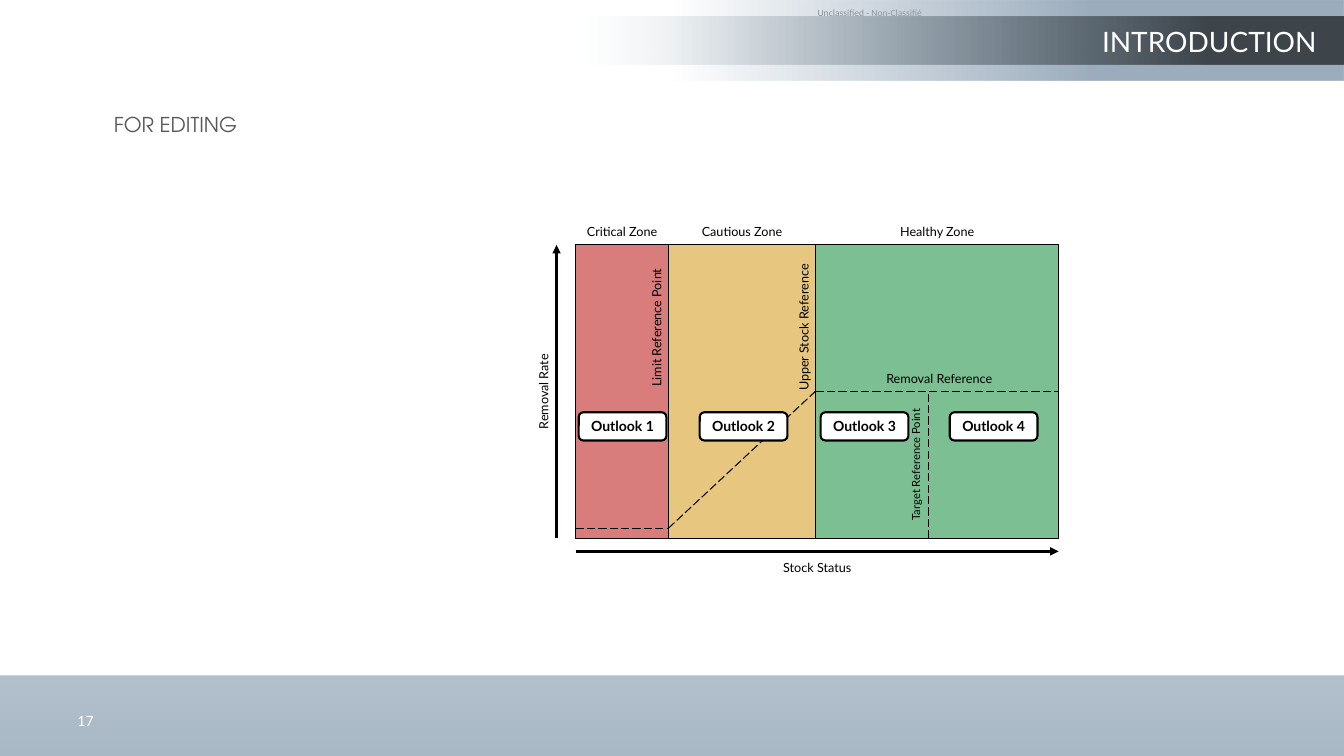
from dataclasses import dataclass

from lxml import etree
from pptx import Presentation
from pptx.dml.color import RGBColor
from pptx.enum.dml import MSO_LINE
from pptx.enum.shapes import MSO_CONNECTOR, MSO_SHAPE
from pptx.enum.text import MSO_ANCHOR, PP_ALIGN
from pptx.oxml.ns import qn
from pptx.util import Inches, Pt

RECTANGLE, ROUNDED = MSO_SHAPE.RECTANGLE, MSO_SHAPE.ROUNDED_RECTANGLE
STRAIGHT, LONG_DASH = MSO_CONNECTOR.STRAIGHT, MSO_LINE.LONG_DASH
LEFT, CENTER, RIGHT = PP_ALIGN.LEFT, PP_ALIGN.CENTER, PP_ALIGN.RIGHT
TOP, MIDDLE = MSO_ANCHOR.TOP, MSO_ANCHOR.MIDDLE


@dataclass(frozen=True)
class Theme:
    font: str = "Lato"
    heading_font: str = "TeX Gyre Adventor"
    marking_font: str = "Calibri"
    black: str = "000000"
    white: str = "FFFFFF"
    heading: str = "595959"
    marking: str = "808080"
    footer: str = "94A7B8"
    band: str = "9CADBE"
    bar_start: str = "97ADBB"
    bar_end: str = "3E454B"
    critical: str = "D87C7C"
    cautious: str = "E7C77F"
    healthy: str = "7CBF93"
    title_size: float = 20
    heading_size: float = 14.6
    badge_size: float = 10
    label_size: float = 9
    small_size: float = 8
    marking_size: float = 6.8
    thin: float = 0.75
    medium: float = 1.5
    thick: float = 2


class SlideBuilder:
    def __init__(self, slide, theme):
        self.slide = slide
        self.shapes = slide.shapes
        self.theme = theme

    def set_text(self, shape, text, size, color=None, font=None, bold=False,
                 align=CENTER, anchor=TOP, inset=None):
        frame = shape.text_frame
        frame.word_wrap = True
        frame.vertical_anchor = anchor
        if inset is not None:
            frame.margin_left = frame.margin_right = Inches(inset)
            frame.margin_top = frame.margin_bottom = Inches(inset)
        para = frame.paragraphs[0]
        para.alignment = align
        para.space_before = Pt(0)
        span = para.add_run()
        span.text = text
        span.font.size = Pt(size)
        span.font.name = font or self.theme.font
        span.font.bold = bold
        span.font.color.rgb = RGBColor.from_string(color or self.theme.black)

    def text(self, left, top, width, height, text, size, **style):
        box = self.shapes.add_textbox(
            Inches(left), Inches(top), Inches(width), Inches(height))
        self.set_text(box, text, size, **style)
        return box

    def upright(self, center_x, center_y, length, text, size):
        """Add a label that reads from bottom to top around its centre."""
        height = 0.25
        box = self.text(center_x - length / 2, center_y - height / 2,
                        length, height, text, size)
        box.rotation = 270

    def block(self, left, top, width, height, fill, line_width=None, kind=RECTANGLE):
        shape = self.shapes.add_shape(
            kind, Inches(left), Inches(top), Inches(width), Inches(height))
        shape.shadow.inherit = False
        shape.fill.solid()
        shape.fill.fore_color.rgb = RGBColor.from_string(fill)
        if line_width:
            shape.line.width = Pt(line_width)
            shape.line.color.rgb = RGBColor.from_string(self.theme.black)
        else:
            shape.line.fill.background()
        return shape

    def gradient(self, left, top, width, height, stops, angle=0):
        """Add a block whose stops are (position %, colour, opacity %)."""
        shape = self.block(left, top, width, height, self.theme.white)
        solid = shape.element.spPr.find(qn("a:solidFill"))
        fill = etree.Element(qn("a:gradFill"), rotWithShape="1")
        stop_list = etree.SubElement(fill, qn("a:gsLst"))
        for position, color, opacity in stops:
            stop = etree.SubElement(stop_list, qn("a:gs"), pos=str(position * 1000))
            tint = etree.SubElement(stop, qn("a:srgbClr"), val=color)
            etree.SubElement(tint, qn("a:alpha"), val=str(opacity * 1000))
        etree.SubElement(fill, qn("a:lin"), ang=str(angle * 60000), scaled="0")
        shape.element.spPr.replace(solid, fill)

    def line(self, start, end, width, dash=None, arrow=False):
        connector = self.shapes.add_connector(
            STRAIGHT, *(Inches(value) for value in (*start, *end)))
        connector.line.width = Pt(width)
        connector.line.color.rgb = RGBColor.from_string(self.theme.black)
        if dash:
            connector.line.dash_style = dash
        properties = connector.element.spPr
        if arrow:
            etree.SubElement(properties.find(qn("a:ln")), qn("a:tailEnd"), type="triangle")
        etree.SubElement(properties, qn("a:effectLst"))

    def placeholder(self, index, left, top, width, height, text, size, **style):
        """Fill a template placeholder and bring it in front of the bands."""
        box = self.slide.placeholders[index]
        box.left, box.top = Inches(left), Inches(top)
        box.width, box.height = Inches(width), Inches(height)
        self.shapes.element.append(box.element)
        properties = box.text_frame.paragraphs[0]._p.get_or_add_pPr()
        properties.set("marL", "0")
        properties.set("indent", "0")
        etree.SubElement(properties, qn("a:buNone"))
        self.set_text(box, text, size, **style)


def add_frame(builder):
    theme = builder.theme
    builder.text(8.11, 0.07, 1.86, 0.11, "Unclassified - Non-Classifié",
                 theme.marking_size, color=theme.marking,
                 font=theme.marking_font, align=LEFT, inset=0)
    builder.gradient(0, 0.92, 13.33, 6.58,
                     [(0, theme.footer, 0), (100, theme.footer, 80)], angle=90)
    builder.block(0, 0.8, 13.33, 5.9, theme.white)
    builder.gradient(6.67, 0.01, 6.66, 0.79,
                     [(0, theme.band, 0), (63, theme.band, 100), (100, theme.band, 100)])
    builder.gradient(3.68, 0.16, 9.65, 0.48,
                     [(22, theme.bar_start, 0), (86, theme.bar_end, 100),
                      (100, theme.bar_end, 100)])
    builder.text(0.67, 7.06, 1.43, 0.18, "17", theme.badge_size,
                 color=theme.white, align=LEFT, anchor=MIDDLE)
    builder.placeholder(1, 1.03, 1.06, 4.03, 0.68, "FOR EDITING", theme.heading_size,
                        color=theme.heading, font=theme.heading_font, align=LEFT)
    builder.placeholder(0, 9.11, 0.19, 4.05, 0.38, "INTRODUCTION", theme.title_size,
                        color=theme.white, align=RIGHT)


def add_stock_diagram(builder):
    theme = builder.theme
    left, limit, upper, right = edges = (5.71, 6.63, 8.09, 10.5)
    top, bottom = 2.43, 5.34
    low_rate, high_rate, target = 5.24, 3.88, 9.21
    label_height, gap = 0.25, 0.12

    zones = [("Critical Zone", theme.critical), ("Cautious Zone", theme.cautious),
             ("Healthy Zone", theme.healthy)]
    for (name, color), start, end in zip(zones, edges, edges[1:]):
        builder.block(start, top, end - start, bottom - top, color, theme.thin)
        builder.text(start, top - 0.26, end - start, label_height, name, theme.label_size)

    for start, end in [((left, low_rate), (limit, low_rate)),
                       ((limit, low_rate), (upper, high_rate)),
                       ((upper, high_rate), (right, high_rate)),
                       ((target, bottom), (target, high_rate))]:
        builder.line(start, end, theme.thin, dash=LONG_DASH)

    builder.line((left, 5.47), (right, 5.47), theme.thick, arrow=True)
    builder.line((5.52, bottom), (5.52, top), theme.thick, arrow=True)
    builder.text(left, 5.51, right - left, label_height, "Stock Status", theme.label_size)
    builder.text(upper + 0.02, high_rate - label_height, right - upper, label_height,
                 "Removal Reference", theme.label_size)

    builder.upright(5.39, (top + bottom) / 2, bottom - top, "Removal Rate", theme.label_size)
    builder.upright(limit - gap, 3.25, 1.65, "Limit Reference Point", theme.label_size)
    builder.upright(upper - gap, 3.25, 1.65, "Upper Stock Reference", theme.label_size)
    builder.upright(target - gap, 4.61, 1.45, "Target Reference Point", theme.small_size)

    for number, badge_left in enumerate((5.74, 6.94, 8.14, 9.42), start=1):
        badge = builder.block(badge_left, 4.09, 0.87, 0.28, theme.white,
                              theme.medium, kind=ROUNDED)
        builder.set_text(badge, f"Outlook {number}", theme.badge_size,
                         bold=True, anchor=MIDDLE, inset=0)


def main():
    deck = Presentation()
    deck.slide_width, deck.slide_height = Inches(13.33), Inches(7.5)
    page = deck.slides.add_slide(deck.slide_layouts[1])
    builder = SlideBuilder(page, Theme())
    add_frame(builder)
    add_stock_diagram(builder)
    deck.save("out.pptx")


if __name__ == "__main__":
    main()
